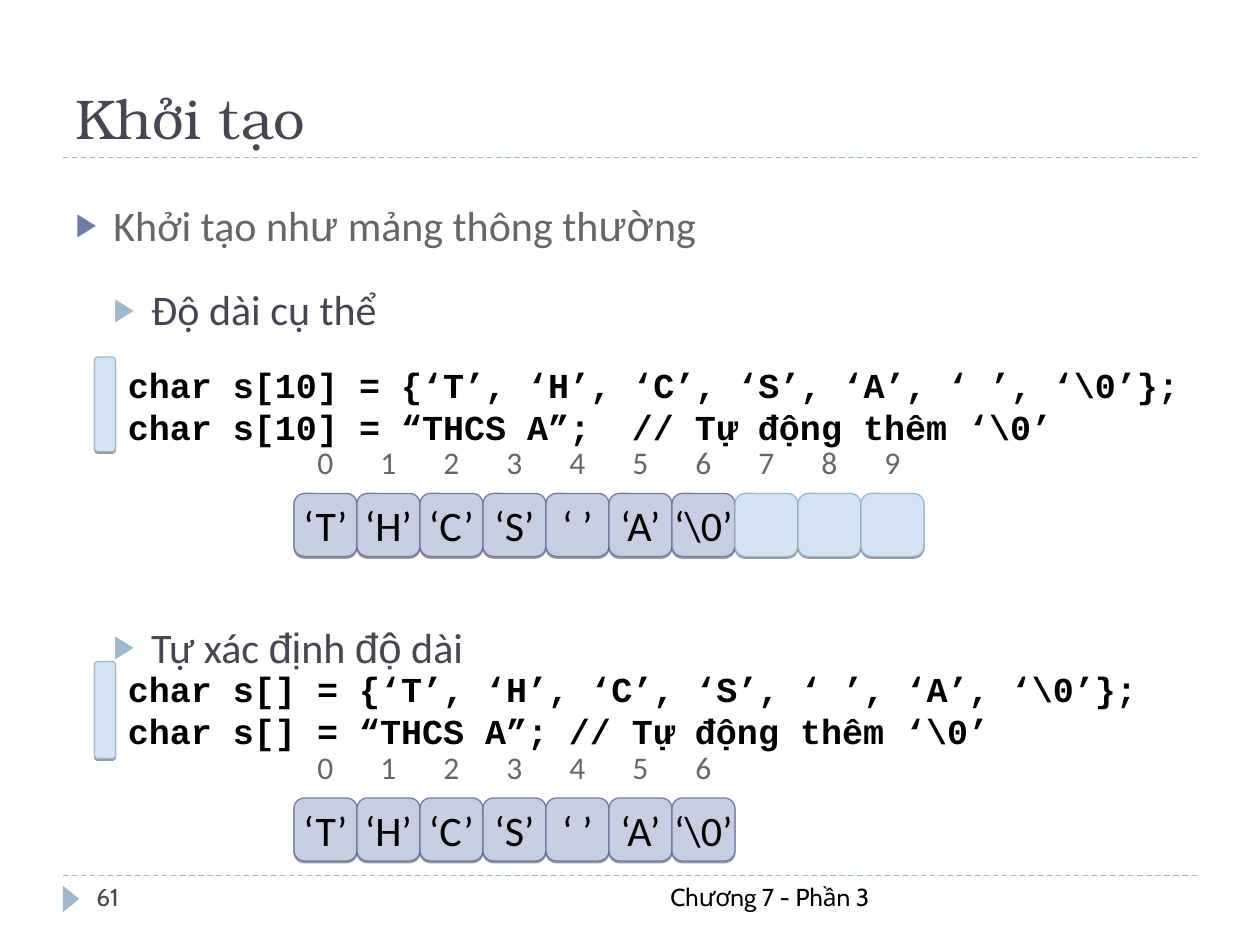
from dataclasses import dataclass

from lxml import etree
from pptx import Presentation
from pptx.dml.color import RGBColor
from pptx.enum.dml import MSO_LINE
from pptx.enum.shapes import MSO_CONNECTOR, MSO_SHAPE
from pptx.enum.text import MSO_ANCHOR, MSO_AUTO_SIZE, PP_ALIGN
from pptx.oxml.ns import qn
from pptx.util import Pt

ROUND, TRI = MSO_SHAPE.ROUNDED_RECTANGLE, MSO_SHAPE.ISOSCELES_TRIANGLE
LEFT, MID, RIGHT = PP_ALIGN.LEFT, PP_ALIGN.CENTER, PP_ALIGN.RIGHT
STRAIGHT, DASH = MSO_CONNECTOR.STRAIGHT, MSO_LINE.DASH
FIT, FIXED = MSO_AUTO_SIZE.SHAPE_TO_FIT_TEXT, MSO_AUTO_SIZE.NONE

INK, GRAY, BLACK = "464653", "666666", "000000"
SKY, PALE, NAVY, LILAC = "9FB8CD", "D3E3F2", "727CA3", "C9CDE2"
SIDE = 36
CHARS = ["‘T’", "‘H’", "‘C’", "‘S’", "‘ ’", "‘A’", "‘\\0’"]


@dataclass
class Face:
    name: str
    size: float
    color: str
    bold: bool = False


@dataclass
class Box:
    x: float
    y: float
    w: float
    h: float

    def pts(self) -> tuple:
        return Pt(self.x), Pt(self.y), Pt(self.w), Pt(self.h)


@dataclass
class Item:
    level: int
    before: float
    color: str
    mark: str
    runs: list


@dataclass
class Block:
    top: float
    bar: float
    code: list
    count: int


HEAD = Face("TeX Gyre Bonum", 32, INK)
CODE = Face("Courier New", 20, BLACK, True)
CELL = Face("Calibri", 24, BLACK)
INDEX = Face("Calibri", 18, GRAY)

# The last item leaves room for the first block of code and cells.
ITEMS = [
    Item(0, 0, GRAY, NAVY, [("Khởi tạo nh", "Calibri"), ("ư", "Arial"),
                            (" mảng thông th", "Calibri"), ("ườ", "Arial"),
                            ("ng", "Calibri")]),
    Item(1, 5, INK, SKY, [("Độ dài cụ thể", "Calibri")]),
    Item(1, 149.5, INK, SKY, [("Tự xác ", "Calibri"), ("đị", "Arial"),
                              ("nh ", "Calibri"), ("độ", "Arial"),
                              (" dài", "Calibri")]),
]
BLOCKS = [
    Block(204, 54, ["char s[10] = {‘T’, ‘H’, ‘C’, ‘S’, ‘A’, ‘ ’, ‘\\0’};",
                    "char s[10] = “THCS A”;\t// Tự động thêm ‘\\0’"], 10),
    Block(378, 55.5, ["char s[] = {‘T’, ‘H’, ‘C’, ‘S’, ‘ ’, ‘A’, ‘\\0’};",
                      "char s[] = “THCS A”;\t// Tự động thêm ‘\\0’"], 7),
]


def rgb(code: str) -> RGBColor:
    return RGBColor.from_string(code)


def add_run(para, text: str, face: Face) -> None:
    run = para.add_run()
    run.text = text
    font = run.font
    font.name, font.size, font.bold = face.name, Pt(face.size), face.bold
    font.color.rgb = rgb(face.color)


def add_text(slide, box: Box, lines: list, face: Face, align=LEFT, fit=FIXED) -> None:
    frame = slide.shapes.add_textbox(*box.pts()).text_frame
    frame.word_wrap, frame.auto_size = True, fit
    for num, line in enumerate(lines):
        para = frame.add_paragraph() if num else frame.paragraphs[0]
        para.alignment = align
        add_run(para, line, face)


def add_rule(slide, y: float) -> None:
    rule = slide.shapes.add_connector(STRAIGHT, Pt(36), Pt(y), Pt(684), Pt(y))
    rule.line.color.rgb = rgb(SKY)
    rule.line.width, rule.line.dash_style = Pt(0.75), DASH
    etree.SubElement(rule._element.spPr, qn("a:effectLst"))


def add_tile(slide, box: Box, fill: str = "", edge: str = ""):
    """Draw a rounded tile; with no fill it is bare, else it has a thin shadow."""
    tile = slide.shapes.add_shape(ROUND, *box.pts())
    tile.shadow.inherit = False
    if not fill:
        tile.fill.background()
        tile.line.fill.background()
        return tile
    tile.fill.solid()
    tile.fill.fore_color.rgb = rgb(fill)
    tile.line.color.rgb = rgb(edge)
    tile.line.width = Pt(0.75)
    effects = tile._element.spPr.find(qn("a:effectLst"))
    shade = etree.SubElement(effects, qn("a:outerShdw"), blurRad="0",
                             dist=str(Pt(1)), dir="5400000", rotWithShape="0")
    tint = etree.SubElement(shade, qn("a:srgbClr"), val=BLACK)
    etree.SubElement(tint, qn("a:alpha"), val="40000")
    return tile


def label(tile, text: str, face: Face) -> None:
    frame = tile.text_frame
    frame.word_wrap, frame.vertical_anchor = False, MSO_ANCHOR.MIDDLE
    para = frame.paragraphs[0]
    para.alignment = MID
    add_run(para, text, face)


def add_block(slide, block: Block) -> None:
    add_tile(slide, Box(54, block.top, 12, block.bar), PALE, SKY)
    add_text(slide, Box(66, block.top, 654, 55.5), block.code, CODE, fit=FIT)
    row = block.top + 78
    for num in range(block.count):
        x = 168 + num * SIDE
        label(add_tile(slide, Box(x, row - SIDE, SIDE, SIDE)), str(num), INDEX)
        cell = Box(x, row, SIDE, SIDE)
        if num < len(CHARS):
            label(add_tile(slide, cell, LILAC, NAVY), CHARS[num], CELL)
        else:
            add_tile(slide, cell, PALE, SKY)


def place(holder, box: Box, anchor):
    holder.left, holder.top, holder.width, holder.height = box.pts()
    frame = holder.text_frame
    frame.word_wrap, frame.auto_size = True, FIXED
    frame.vertical_anchor = anchor
    return frame


def add_bullet(para, item: Item) -> None:
    props = para._p.get_or_add_pPr()
    props.set("marL", str(Pt(21.6 * (item.level + 1))))
    props.set("indent", str(Pt(-21.6)))
    tint = etree.SubElement(props, qn("a:buClr"))
    etree.SubElement(tint, qn("a:srgbClr"), val=item.mark)
    etree.SubElement(props, qn("a:buSzPct"), val="76000")
    etree.SubElement(props, qn("a:buChar"), char="▶")


def main() -> None:
    deck = Presentation()
    deck.slide_width, deck.slide_height = Pt(720), Pt(540)
    slide = deck.slides.add_slide(deck.slide_layouts[1])

    add_rule(slide, 500.4)
    add_rule(slide, 90)
    arrow = slide.shapes.add_shape(TRI, *Box(33.1, 509, 15.1, 9.4).pts())
    arrow.rotation, arrow.shadow.inherit = 90, False
    arrow.fill.solid()
    arrow.fill.fore_color.rgb = rgb(SKY)
    arrow.line.fill.background()

    head = place(slide.shapes.title, Box(36, 12, 648, 78), MSO_ANCHOR.BOTTOM)
    head.paragraphs[0].alignment = LEFT
    add_run(head.paragraphs[0], "Khởi tạo", HEAD)

    body = place(slide.placeholders[1], Box(36, 96, 648, 389), MSO_ANCHOR.TOP)
    for num, item in enumerate(ITEMS):
        para = body.add_paragraph() if num else body.paragraphs[0]
        add_bullet(para, item)
        para.level, para.line_spacing = item.level, 1.5
        para.space_before = Pt(item.before)
        for text, name in item.runs:
            add_run(para, text, Face(name, 24, item.color))

    for block in BLOCKS:
        add_block(slide, block)

    add_text(slide, Box(228, 500.4, 276, 28.8), ["Chương 7 - Phần 3"],
             Face("Cabin", 14, BLACK), RIGHT)
    add_text(slide, Box(48, 500.4, 156, 28.8), ["61"], Face("Cabin", 14, INK))
    deck.save("out.pptx")


if __name__ == "__main__":
    main()
